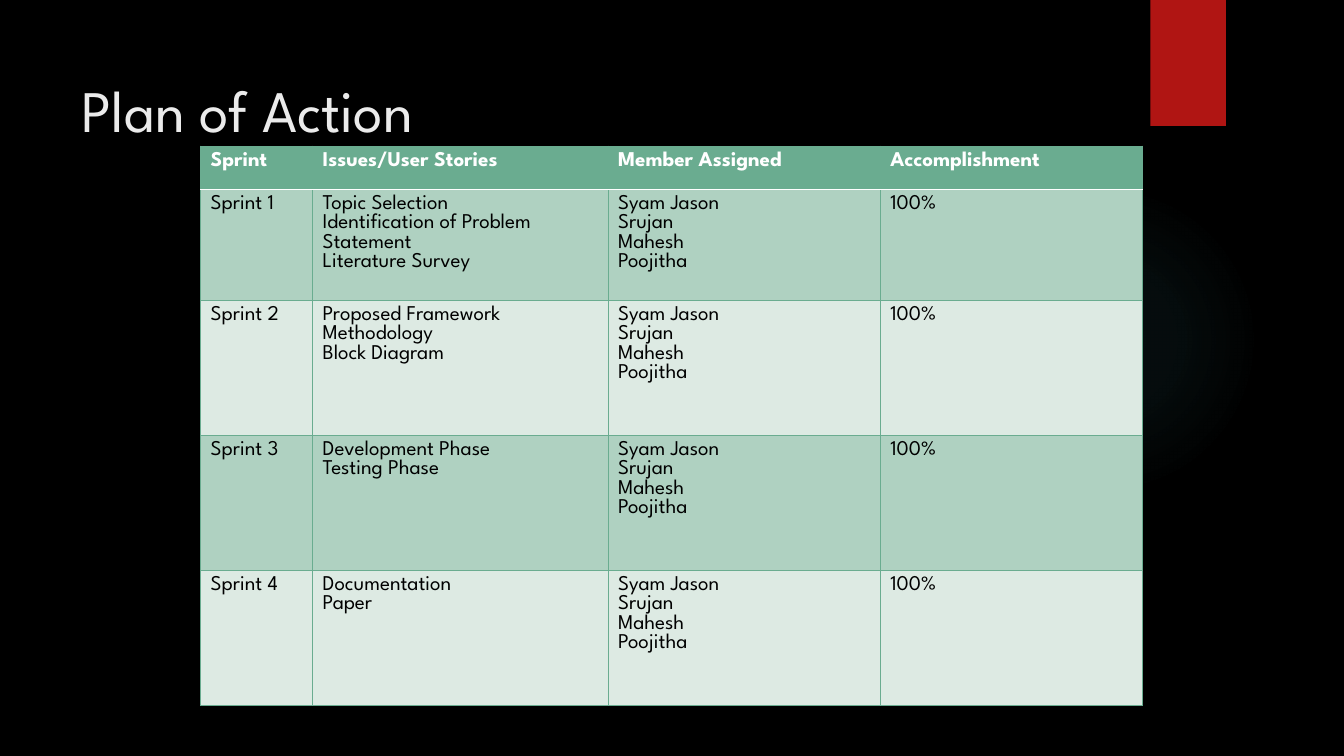
from lxml import etree
from pptx import Presentation, util as u
from pptx.dml.color import RGBColor
from pptx.enum import shapes, text
from pptx.oxml import parse_xml
from pptx.oxml.ns import nsdecls, qn

GREEN, WHITE, BLACK = "6AAC90", "FFFFFF", "000000"
BANDS = ["AFD1C1", "DDEAE3"]
TEAM = "Syam Jason\nSrujan\nMahesh\nPoojitha"
HEADINGS = ["Sprint", "Issues/User Stories", "Member Assigned", "Accomplishment"]
STORIES = [
    "Topic Selection\nIdentification of Problem Statement\nLiterature Survey",
    "Proposed Framework\nMethodology\nBlock Diagram",
    "Development Phase\nTesting Phase",
    "Documentation\nPaper",
]


def rgb(value):
    return RGBColor.from_string(value)


class Deck:
    """Builds slides in one dark style with a green sprint table."""

    font = "League Spartan"

    def __init__(self):
        self.prs = Presentation()
        self.prs.slide_width, self.prs.slide_height = u.Inches(13.33), u.Inches(7.5)

    def add_slide(self, color):
        self.slide = self.prs.slides.add_slide(self.prs.slide_layouts[5])
        fill = self.slide.background.fill
        fill.solid()
        fill.fore_color.rgb = rgb(color)

    def format_text(self, tf, size, color, bold=False):
        for p in tf.paragraphs:
            p.alignment = text.PP_ALIGN.LEFT
            for r in p.runs:
                r.font.name, r.font.size, r.font.bold = self.font, u.Pt(size), bold
                r.font.color.rgb = rgb(color)

    def title(self, words, box):
        sp = self.slide.shapes.title
        sp.left, sp.top, sp.width, sp.height = map(u.Inches, box)
        tf = sp.text_frame
        tf.text = words
        tf.vertical_anchor = text.MSO_ANCHOR.TOP
        tf.margin_top = u.Inches(0.23)
        self.format_text(tf, 42, "EBEBEB")

    def shape(self, kind, box, color):
        sp = self.slide.shapes.add_shape(kind, *map(u.Inches, box))
        sp.shadow.inherit = False
        sp.line.fill.background()
        sp.fill.solid()
        sp.fill.fore_color.rgb = rgb(color)
        return sp

    def glow(self, box, color, stops):
        sp = self.shape(shapes.MSO_SHAPE.OVAL, box, color)
        marks = "".join(
            f'<a:gs pos="{pos * 1000}"><a:srgbClr val="{color}">'
            f'<a:alpha val="{alpha * 1000}"/></a:srgbClr></a:gs>'
            for pos, alpha in stops)
        grad = parse_xml(
            f'<a:gradFill {nsdecls("a")}><a:gsLst>{marks}</a:gsLst><a:path path="circle">'
            '<a:fillToRect l="50000" t="50000" r="50000" b="50000"/></a:path></a:gradFill>')
        spPr = sp._element.spPr
        spPr.replace(spPr.find(qn("a:solidFill")), grad)

    def borders(self, cell, lines):
        tcPr = cell._tc.get_or_add_tcPr()
        for i, (side, color, width) in enumerate(lines):
            ln = etree.Element(qn(f"a:ln{side}"), w=str(u.Pt(width)))
            fill = etree.SubElement(ln, qn("a:solidFill"))
            etree.SubElement(fill, qn("a:srgbClr"), val=color)
            tcPr.insert(i, ln)

    def table(self, rows, box, widths, heights):
        frame = self.slide.shapes.add_table(len(rows), len(widths), *map(u.Inches, box))
        tbl = frame.table
        for col, width in zip(tbl.columns, widths):
            col.width = u.Inches(width)
        for row, height in zip(tbl.rows, heights):
            row.height = u.Inches(height)
        for i, row in enumerate(rows):
            header = i == 0
            for j, words in enumerate(row):
                cell = tbl.cell(i, j)
                cell.text_frame.text = words
                self.format_text(cell.text_frame, 15, WHITE if header else BLACK, header)
                cell.fill.solid()
                cell.fill.fore_color.rgb = rgb(GREEN if header else BANDS[(i - 1) % 2])
                top = (WHITE, 1.5) if i == 1 else (GREEN, 0.75)
                bottom = (WHITE, 1.5) if header else (GREEN, 0.75)
                self.borders(cell, [("L", GREEN, 0.75), ("R", GREEN, 0.75),
                                    ("T", *top), ("B", *bottom)])


def main():
    deck = Deck()
    deck.add_slide(BLACK)
    deck.glow((9.41, 1.83, 3.08, 3.08), "50B9C1", [(0, 7), (36, 6), (69, 0), (100, 0)])
    deck.shape(shapes.MSO_SHAPE.RECTANGLE, (11.41, 0, 0.75, 1.25), "B01513")
    deck.title("Plan of Action", (0.71, 0.5, 10.29, 1.53))
    sprints = [[f"Sprint {n}", story, TEAM, "100%"] for n, story in enumerate(STORIES, 1)]
    deck.table([HEADINGS] + sprints, (1.99, 1.45, 9.34, 5.55),
               [1.11, 2.93, 2.7, 2.6], [0.43, 1.1] + [1.34] * 3)
    deck.prs.save("out.pptx")


if __name__ == "__main__":
    main()
